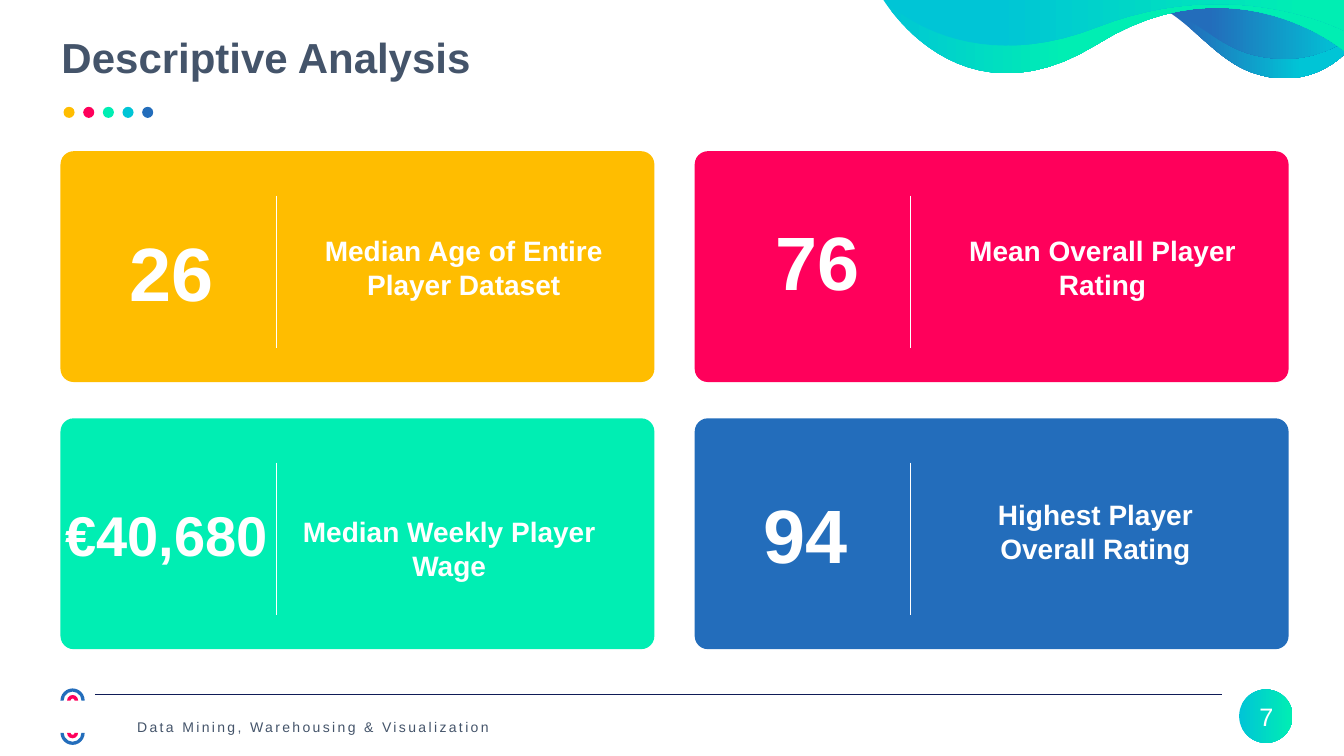
from lxml import etree
from pptx import Presentation
from pptx.dml.color import RGBColor
from pptx.enum.shapes import MSO_CONNECTOR, MSO_SHAPE as SHAPE
from pptx.enum.text import MSO_ANCHOR as ANCHOR, MSO_AUTO_SIZE, PP_ALIGN as ALIGN
from pptx.oxml.ns import qn
from pptx.util import Inches, Pt

WHITE = RGBColor(0xFF, 0xFF, 0xFF)
SLATE = RGBColor(0x44, 0x54, 0x6A)
NAVY = RGBColor(0x0F, 0x1B, 0x57)
YELLOW = RGBColor(0xFF, 0xBD, 0x00)
PINK = RGBColor(0xFF, 0x00, 0x5B)
GREEN = RGBColor(0x00, 0xEE, 0xB3)
CYAN = RGBColor(0x00, 0xC5, 0xD6)
BLUE = RGBColor(0x23, 0x6D, 0xBB)

CURVE_STEPS = 24
WAVE_CORNER = (13.34, -0.02)
WAVES = [
    ([(13.34, 0.53), (13.34, 0.53), (13, 0.91), (12.45, 0.73),
      (11.98, 0.59), (11.69, -0.02), (11.17, -0.02)],
     [(0.28, BLUE), (0.8, CYAN)]),
    ([(13.34, 0.4), (13.34, 0.4), (13, 0.68), (12.45, 0.55),
      (11.98, 0.44), (11.69, -0.02), (11.17, -0.02)],
     [(0.38, BLUE), (1, CYAN)]),
    ([(8.75, -0.02), (8.75, -0.02), (9.51, 1.29), (10.88, 0.44),
      (12.25, -0.42), (13.34, 0.51), (13.34, 0.51)],
     [(0, CYAN), (0.4, GREEN)]),
    ([(8.75, -0.02), (8.75, -0.02), (9.51, 0.81), (10.88, 0.27),
      (12.25, -0.27), (13.34, 0.31), (13.34, 0.31)],
     [(0.24, CYAN), (0.92, GREEN)]),
]

LEFT_COLUMN, RIGHT_COLUMN = 0.6, 6.89
TOP_ROW, BOTTOM_ROW = 1.5, 4.15
CARDS = [
    (LEFT_COLUMN, TOP_ROW, YELLOW, "26", 54, (0.84, 2.19, 1.73, 1.01),
     "Median Age of Entire Player Dataset", (2.91, 2.27, 3.38, 0.77)),
    (RIGHT_COLUMN, TOP_ROW, PINK, "76", 54, (7.47, 2.08, 1.27, 1.01),
     "Mean Overall Player Rating", (9.38, 2.27, 3.11, 0.77)),
    (LEFT_COLUMN, BOTTOM_ROW, GREEN, "€40,680", 40, (0.4, 4.92, 2.5, 0.77),
     "Median Weekly Player Wage", (2.9, 5.06, 3.11, 0.77)),
    (RIGHT_COLUMN, BOTTOM_ROW, BLUE, "94", 54, (7.35, 4.79, 1.27, 1.01),
     "Highest Player Overall Rating", (9.31, 4.89, 3.11, 0.77)),
]


def bezier(p0, p1, p2, p3):
    """Return points along a cubic curve, without its first point."""
    points = []
    for step in range(1, CURVE_STEPS + 1):
        t = step / CURVE_STEPS
        weights = ((1 - t) ** 3, 3 * t * (1 - t) ** 2, 3 * t * t * (1 - t), t ** 3)
        points.append(tuple(sum(w * p[axis] for w, p in zip(weights, (p0, p1, p2, p3)))
                            for axis in (0, 1)))
    return points


class SlideBuilder:
    """Draw styled elements on the current slide."""

    font_name = "Arial"

    def __init__(self, slide):
        self.slide = slide
        self.shapes = slide.shapes

    def style(self, paragraph, size, color, bold=False, align=ALIGN.LEFT):
        paragraph.alignment = align
        paragraph.font.name = self.font_name
        paragraph.font.size = Pt(size)
        paragraph.font.bold = bold
        paragraph.font.color.rgb = color

    def paint(self, shape, color=None, stops=None):
        shape.shadow.inherit = False
        shape.line.fill.background()
        if stops:
            shape.fill.gradient()
            shape.fill.gradient_angle = 0
            for stop, (position, stop_color) in zip(shape.fill.gradient_stops, stops):
                stop.position = position
                stop.color.rgb = stop_color
        else:
            shape.fill.solid()
            shape.fill.fore_color.rgb = color

    def title(self, text, box):
        title = self.shapes.title
        title.left, title.top, title.width, title.height = map(Inches, box)
        frame = title.text_frame
        frame.text = text
        frame.auto_size = MSO_AUTO_SIZE.NONE
        frame.vertical_anchor = ANCHOR.MIDDLE
        self.style(frame.paragraphs[0], 30, SLATE, bold=True)

    def shape(self, kind, box, color=None, stops=None, adjustments=()):
        shape = self.shapes.add_shape(kind, *map(Inches, box))
        for index, value in enumerate(adjustments):
            shape.adjustments[index] = value
        self.paint(shape, color, stops)

    def text(self, text, box, size, color=WHITE, bold=False, align=ALIGN.CENTER):
        frame = self.shapes.add_textbox(*map(Inches, box)).text_frame
        frame.word_wrap = True
        frame.text = text
        self.style(frame.paragraphs[0], size, color, bold, align)
        return frame

    def footer(self, text, box):
        frame = self.text(text, box, 10, SLATE, align=ALIGN.LEFT)
        frame.vertical_anchor = ANCHOR.MIDDLE
        frame.margin_left = frame.margin_right = Inches(0.04)
        frame.margin_top = frame.margin_bottom = Inches(0.04)
        paragraph = frame.paragraphs[0]
        paragraph.line_spacing = 1.5
        paragraph.runs[0].font._element.set("spc", "170")

    def line(self, start, end, color, width):
        line = self.shapes.add_connector(MSO_CONNECTOR.STRAIGHT, *map(Inches, start + end))
        line.line.color.rgb = color
        line.line.width = Pt(width)
        etree.SubElement(line._element.spPr, qn("a:effectLst"))

    def wave(self, curve, stops):
        outline = bezier(*curve[:4]) + bezier(*curve[3:]) + [WAVE_CORNER]
        pen = self.shapes.build_freeform(*map(Inches, curve[0]))
        pen.add_line_segments([(Inches(x), Inches(y)) for x, y in outline], close=True)
        self.paint(pen.convert_to_shape(), stops=stops)

    def card(self, left, top, color, value, size, value_box, label, label_box):
        self.shape(SHAPE.ROUNDED_RECTANGLE, (left, top, 5.89, 2.29), color,
                   adjustments=[0.057])
        divider = left + 2.14
        self.line((divider, top + 0.44), (divider, top + 1.95), WHITE, 1)
        self.text(value, value_box, size, bold=True)
        self.text(label, label_box, 20, bold=True)


def main():
    prs = Presentation()
    prs.slide_width, prs.slide_height = Inches(13.33), Inches(7.5)
    page = SlideBuilder(prs.slides.add_slide(prs.slide_layouts[5]))

    page.title("Descriptive Analysis", (0.51, 0.26, 12.32, 0.6))
    for index, color in enumerate((YELLOW, PINK, GREEN, CYAN, BLUE)):
        page.shape(SHAPE.OVAL, (0.63 + 0.195 * index, 1.06, 0.11, 0.11), color)
    for curve, stops in WAVES:
        page.wave(curve, stops)
    for card in CARDS:
        page.card(*card)

    for center, angles in ((6.95, [180, 0]), (7.27, [0, 180])):
        for size, color, thickness in ((0.24, BLUE, 0.13), (0.11, PINK, 0.32)):
            page.shape(SHAPE.BLOCK_ARC, (0.72 - size / 2, center - size / 2, size, size),
                       color, adjustments=[angle * 0.6 for angle in angles] + [thickness])
    page.line((0.94, 6.89), (12.12, 6.89), NAVY, 0.5)
    page.footer("Data Mining, Warehousing & Visualization", (1.32, 7.01, 4.04, 0.31))
    page.shape(SHAPE.OVAL, (12.29, 6.84, 0.53, 0.53), stops=[(0, CYAN), (1, GREEN)])
    page.text("7", (12.25, 6.91, 0.62, 0.4), 18)

    prs.save("out.pptx")


if __name__ == "__main__":
    main()
